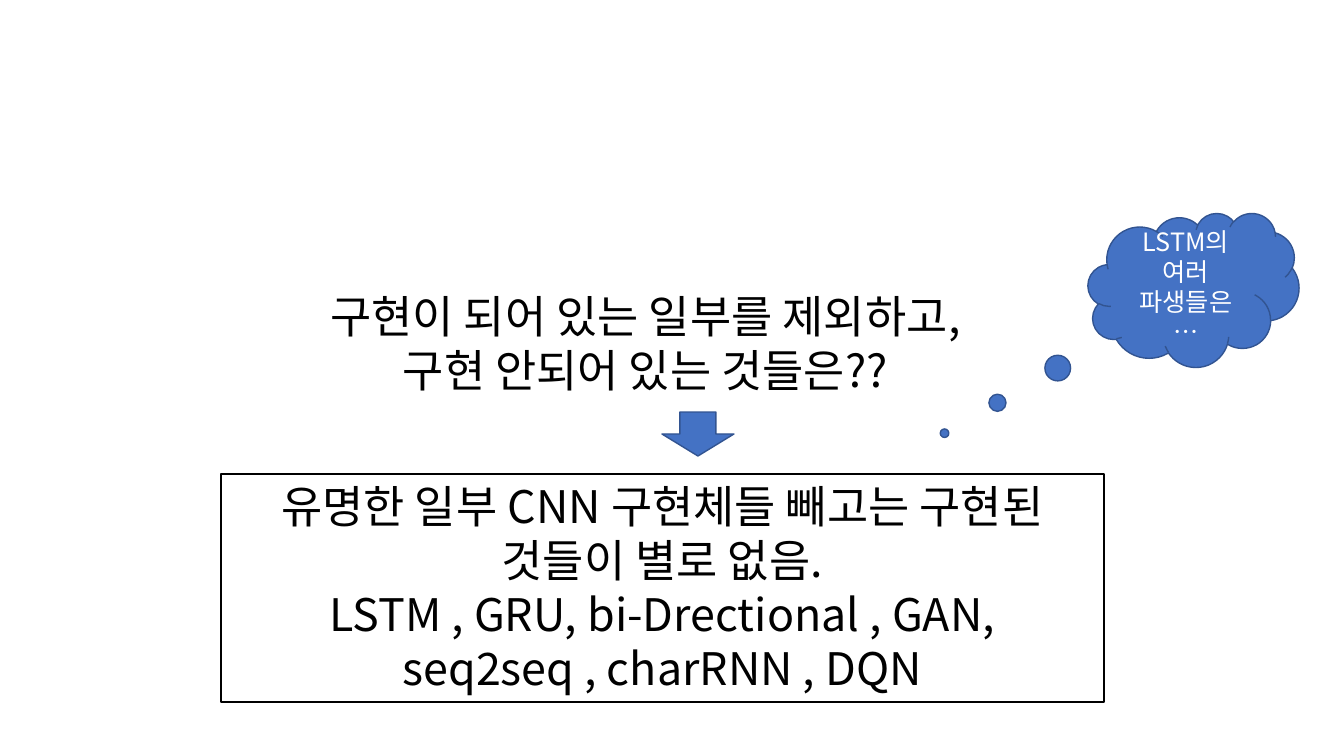
from dataclasses import dataclass
from typing import Optional

from lxml.etree import SubElement
from pptx import Presentation
from pptx.dml.color import RGBColor
from pptx.enum.shapes import MSO_SHAPE
from pptx.enum.text import MSO_ANCHOR, MSO_AUTO_SIZE, PP_ALIGN
from pptx.oxml.ns import qn
from pptx.util import Emu, Pt

FONT = "Noto Sans CJK KR"
BLACK, WHITE, BLUE, DARK_BLUE = "000000", "FFFFFF", "4472C4", "325491"


@dataclass(frozen=True)
class Block:
    kind: MSO_SHAPE
    left: int
    top: int
    width: int
    height: int
    fill: str
    line: Optional[str] = None
    adjustments: tuple[float, ...] = ()


QUESTION = Block(MSO_SHAPE.RECTANGLE, 261, 284, 769, 119, WHITE)
ANSWER = Block(MSO_SHAPE.RECTANGLE, 221, 474, 883, 228, WHITE, BLACK)
ARROW = Block(MSO_SHAPE.DOWN_ARROW, 662, 412, 72, 44, BLUE, DARK_BLUE)
THOUGHT = Block(MSO_SHAPE.CLOUD_CALLOUT, 1088, 213, 211, 154, BLUE, DARK_BLUE,
                (-1.18, 0.93))


def px(length: int) -> Emu:
    return Emu(round(length * 914400 / 100.8))


def color(value: str) -> RGBColor:
    return RGBColor.from_string(value)


def draw_block(page, block: Block):
    shape = page.shapes.add_shape(block.kind, px(block.left), px(block.top),
                                  px(block.width), px(block.height))
    shape.shadow.inherit = False
    shape.fill.solid()
    shape.fill.fore_color.rgb = color(block.fill)
    if block.line:
        shape.line.color.rgb = color(block.line)
        shape.line.width = Pt(1)
    else:
        shape.line.fill.background()
    for index, value in enumerate(block.adjustments):
        shape.adjustments[index] = value
    return shape


def write_text(shape, text: str, *, size: int, ink: str = BLACK,
               anchor: MSO_ANCHOR = MSO_ANCHOR.TOP, grow: bool = False) -> None:
    """Write centred paragraphs, split at newlines; a vertical tab breaks a line."""
    frame = shape.text_frame
    frame.word_wrap = True
    frame.vertical_anchor = anchor
    frame.auto_size = MSO_AUTO_SIZE.SHAPE_TO_FIT_TEXT if grow else MSO_AUTO_SIZE.NONE
    frame.text = text
    for para in frame.paragraphs:
        para.alignment = PP_ALIGN.CENTER
        para.font.size = Pt(size)
        for span in para.runs:
            span.font.size = Pt(size)
            span.font.color.rgb = color(ink)
            span.font.name = FONT
            # Hangul takes its typeface from the East Asian font slot.
            SubElement(span.font._element, qn("a:ea"), typeface=FONT)


def main() -> None:
    deck = Presentation()
    deck.slide_width, deck.slide_height = px(1344), px(756)
    page = deck.slides.add_slide(deck.slide_layouts[6])

    write_text(draw_block(page, QUESTION),
               "구현이 되어 있는 일부를 제외하고,\v구현 안되어 있는 것들은??",
               size=32, grow=True)
    write_text(draw_block(page, ANSWER),
               "유명한 일부 CNN 구현체들 빼고는 구현된 것들이 별로 없음.\n"
               "LSTM , GRU, bi-Drectional , GAN, seq2seq , charRNN , DQN",
               size=32, grow=True)
    draw_block(page, ARROW)
    write_text(draw_block(page, THOUGHT), "LSTM의 여러 파생들은\v…",
               size=18, ink=WHITE, anchor=MSO_ANCHOR.MIDDLE)

    deck.save("out.pptx")


if __name__ == "__main__":
    main()
